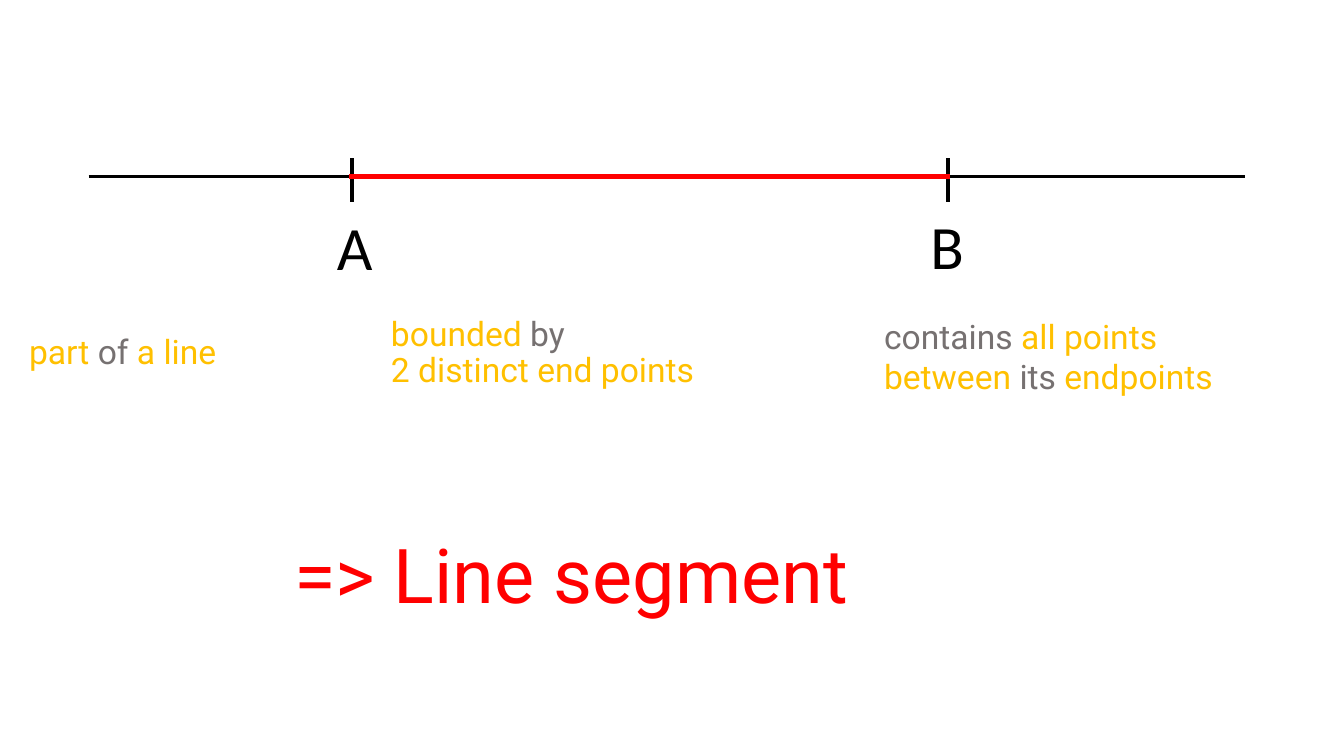
from lxml import etree
from pptx import Presentation
from pptx.dml.color import RGBColor
from pptx.enum.shapes import MSO_CONNECTOR
from pptx.enum.text import MSO_ANCHOR, MSO_AUTO_SIZE, PP_ALIGN
from pptx.oxml.ns import qn
from pptx.util import Inches, Pt

COLORS = {"black": "000000", "red": "FF0000", "gold": "FFC000", "gray": "767171"}
LINE_Y = 1.75

deck = Presentation()
deck.slide_width, deck.slide_height = Inches(13.33), Inches(7.5)
page = deck.slides.add_slide(deck.slide_layouts[5])


def draw_line(start, end, color, width):
    line = page.shapes.add_connector(
        MSO_CONNECTOR.STRAIGHT, *[Inches(value) for value in (*start, *end)])
    line.line.color.rgb = RGBColor.from_string(COLORS[color])
    line.line.width = Pt(width)
    etree.SubElement(line._element.spPr, qn("a:effectLst"))


def write_text(box, place, paragraphs, size, font, spacing=0.9):
    """Place the box and fill it with paragraphs of (text, color) spans."""
    box.left, box.top, box.width, box.height = [Inches(value) for value in place]
    frame = box.text_frame
    frame.word_wrap = True
    frame.auto_size = MSO_AUTO_SIZE.NONE
    frame.vertical_anchor = MSO_ANCHOR.MIDDLE
    for index, spans in enumerate(paragraphs):
        para = frame.add_paragraph() if index else frame.paragraphs[0]
        para.alignment = PP_ALIGN.LEFT
        para.line_spacing = spacing
        for text, color in spans:
            span = para.add_run()
            span.text = text
            span.font.size = Pt(size)
            span.font.name = font
            span.font.color.rgb = RGBColor.from_string(COLORS[color])


# Line with its two end point marks
draw_line((0.88, LINE_Y), (12.35, LINE_Y), "black", 2.5)
for mark_x in (3.49, 9.4):
    draw_line((mark_x, 1.57), (mark_x, 2), "black", 2.5)

# End point names
write_text(page.shapes.title, (3.24, 1.75, 0.69, 1.48), [[("A", "black")]], 44, "Calibri")

# Point B, the three properties and the conclusion
texts = [
    ((9.13, 1.74, 0.69, 1.48), [[("B", "black")]], 44, "Calibri", 0.9),
    ((0.19, 2.78, 3.17, 1.45),
     [[("part ", "gold"), ("of ", "gray"), ("a line", "gold")]], 24, "Roboto", 0.9),
    ((3.78, 2.49, 4.8, 2.03),
     [[("bounded ", "gold"), ("by", "gray")], [("2 distinct end points", "gold")]],
     24, "Roboto", 0.9),
    ((8.67, 3.08, 4.6, 0.91),
     [[("contains", "gray"), (" all points", "gold")],
      [("between ", "gold"), ("its", "gray"), (" endpoints", "gold")]],
     24, "Roboto", 1.0),
    ((2.82, 4.73, 8.52, 2.03), [[("=> Line segment", "red")]], 54, "Roboto", 0.9),
]
for place, paragraphs, size, font, spacing in texts:
    box = page.shapes.add_textbox(0, 0, 0, 0)
    write_text(box, place, paragraphs, size, font, spacing)

# Segment between A and B
draw_line((3.46, LINE_Y), (9.42, LINE_Y), "red", 3)

deck.save("out.pptx")
